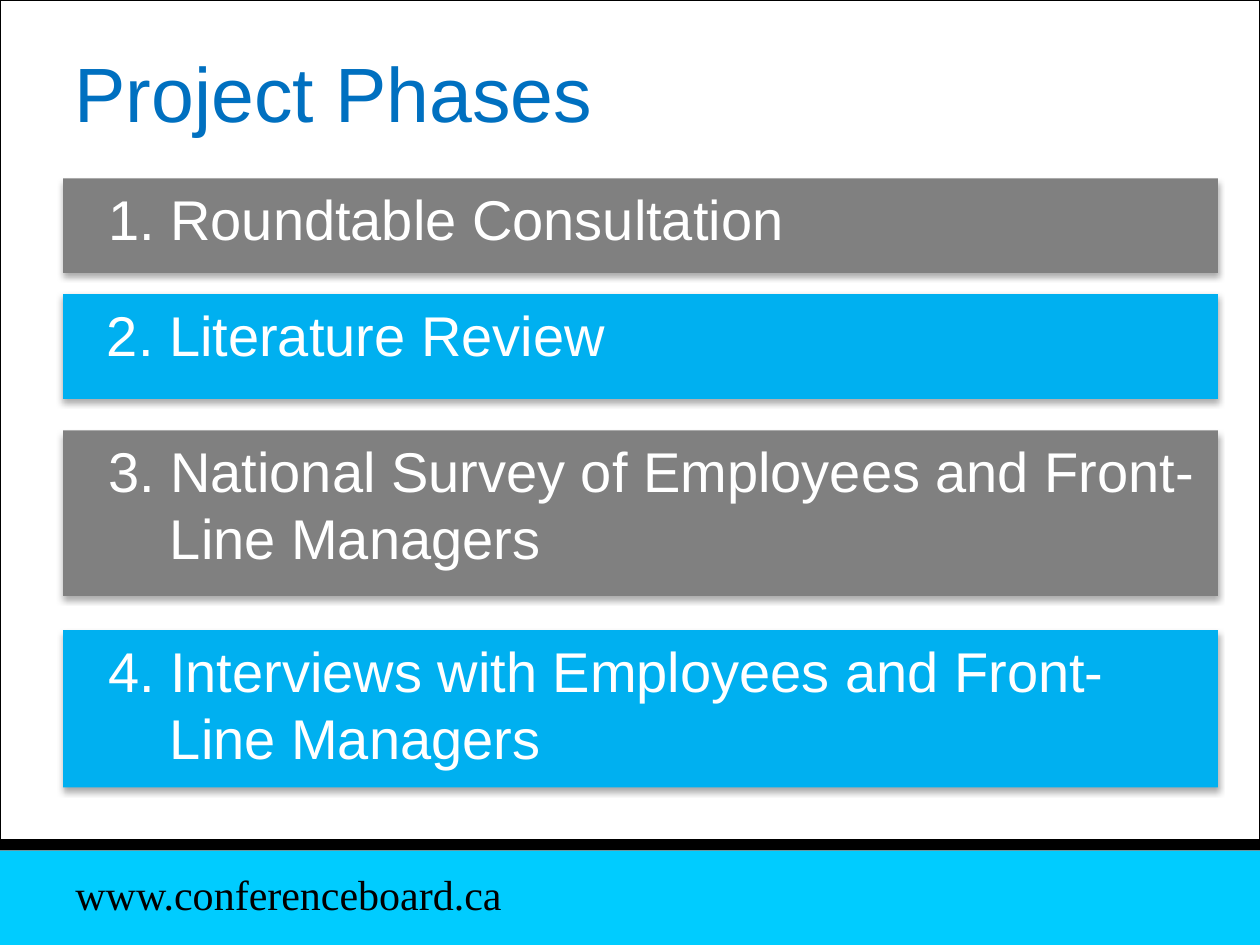
import pptx
import pptx.dml.color
import pptx.enum.shapes
import pptx.enum.text
import pptx.util
from lxml import etree
from pptx.oxml.ns import qn

Pt = pptx.util.Pt

THEME = {
    "background": "F8F8F8", "white": "FFFFFF", "black": "000000",
    "title": "0070C0", "grey": "808080", "blue": "00B0F0", "cyan": "00CCFF",
    "sans": "Arial", "serif": "Times New Roman",
    "title_size": 44, "phase_size": 32, "address_size": 24,
}

TITLE = "Project Phases"
ADDRESS = "www.conferenceboard.ca"
HANGING = (54, -35.3)
# text, top, height, (left indent, first-line indent)
PHASES = [
    ("1. Roundtable Consultation", 102, 54, HANGING),
    ("2. Literature Review", 168, 60, (18, 0)),
    ("3. National Survey of Employees and Front-Line Managers", 246, 94.5, HANGING),
    ("4. Interviews with Employees and Front-Line Managers", 360, 90, HANGING),
]
# top, height, fill, outline
BANDS = [
    (0, 480, "white", "black"),
    (486, 54, "cyan", None),
    (480, 6, "black", None),
]

SLIDE_WIDTH, SLIDE_HEIGHT = 720, 540
MARGIN, PHASE_WIDTH = 36, 660


def colour(name):
    return pptx.dml.color.RGBColor.from_string(THEME[name])


def add_bar(slide, left, top, width, height, fill, outline=None):
    bar = slide.shapes.add_shape(
        pptx.enum.shapes.MSO_SHAPE.RECTANGLE, Pt(left), Pt(top), Pt(width), Pt(height))
    bar.shadow.inherit = False
    bar.fill.solid()
    bar.fill.fore_color.rgb = colour(fill)
    if outline:
        bar.line.color.rgb = colour(outline)
        bar.line.width = Pt(0.75)
    else:
        bar.line.fill.background()
    return bar


def add_drop_shadow(bar):
    effects = bar._element.spPr.find(qn("a:effectLst"))
    shadow = etree.SubElement(
        effects, qn("a:outerShdw"), blurRad=str(Pt(3.5)), dist=str(Pt(2.2)),
        dir="5400000", rotWithShape="0")
    tint = etree.SubElement(shadow, qn("a:srgbClr"), val=THEME["black"])
    etree.SubElement(tint, qn("a:alpha"), val="32000")


def write(box, text, face, size, ink, spacing):
    """Fill a box with one left-aligned, top-anchored paragraph."""
    frame = box.text_frame
    frame.word_wrap = True
    frame.auto_size = pptx.enum.text.MSO_AUTO_SIZE.NONE
    frame.vertical_anchor = pptx.enum.text.MSO_ANCHOR.TOP
    paragraph = frame.paragraphs[0]
    paragraph.alignment = pptx.enum.text.PP_ALIGN.LEFT
    paragraph.line_spacing = spacing
    paragraph.space_before = Pt(0)
    run = paragraph.add_run()
    run.text = text
    run.font.name = THEME[face]
    run.font.size = Pt(THEME[size])
    run.font.color.rgb = colour(ink)
    return paragraph


def main():
    deck = pptx.Presentation()
    deck.slide_width, deck.slide_height = Pt(SLIDE_WIDTH), Pt(SLIDE_HEIGHT)
    slide = deck.slides.add_slide(deck.slide_layouts[5])
    slide.background.fill.solid()
    slide.background.fill.fore_color.rgb = colour("background")

    for top, height, fill, outline in BANDS:
        add_bar(slide, 0, top, SLIDE_WIDTH, height, fill, outline)

    address = slide.shapes.add_textbox(Pt(MARGIN), Pt(498.5), Pt(294), Pt(30))
    write(address, ADDRESS, "serif", "address_size", "black", 0.8)

    for index, (text, top, height, (left_indent, first_line)) in enumerate(PHASES):
        bar = add_bar(slide, MARGIN, top, PHASE_WIDTH, height, ("grey", "blue")[index % 2])
        add_drop_shadow(bar)
        paragraph = write(bar, text, "sans", "phase_size", "white", Pt(38.4))
        properties = paragraph._p.get_or_add_pPr()
        properties.set("marL", str(Pt(left_indent)))
        properties.set("indent", str(Pt(first_line)))

    title = slide.shapes.title
    title.left, title.top, title.width, title.height = Pt(35.5), Pt(21), Pt(648), Pt(90)
    write(title, TITLE, "sans", "title_size", "title", Pt(54))
    slide.shapes._spTree.append(title._element)  # in front of the white band

    deck.save("out.pptx")


if __name__ == "__main__":
    main()
